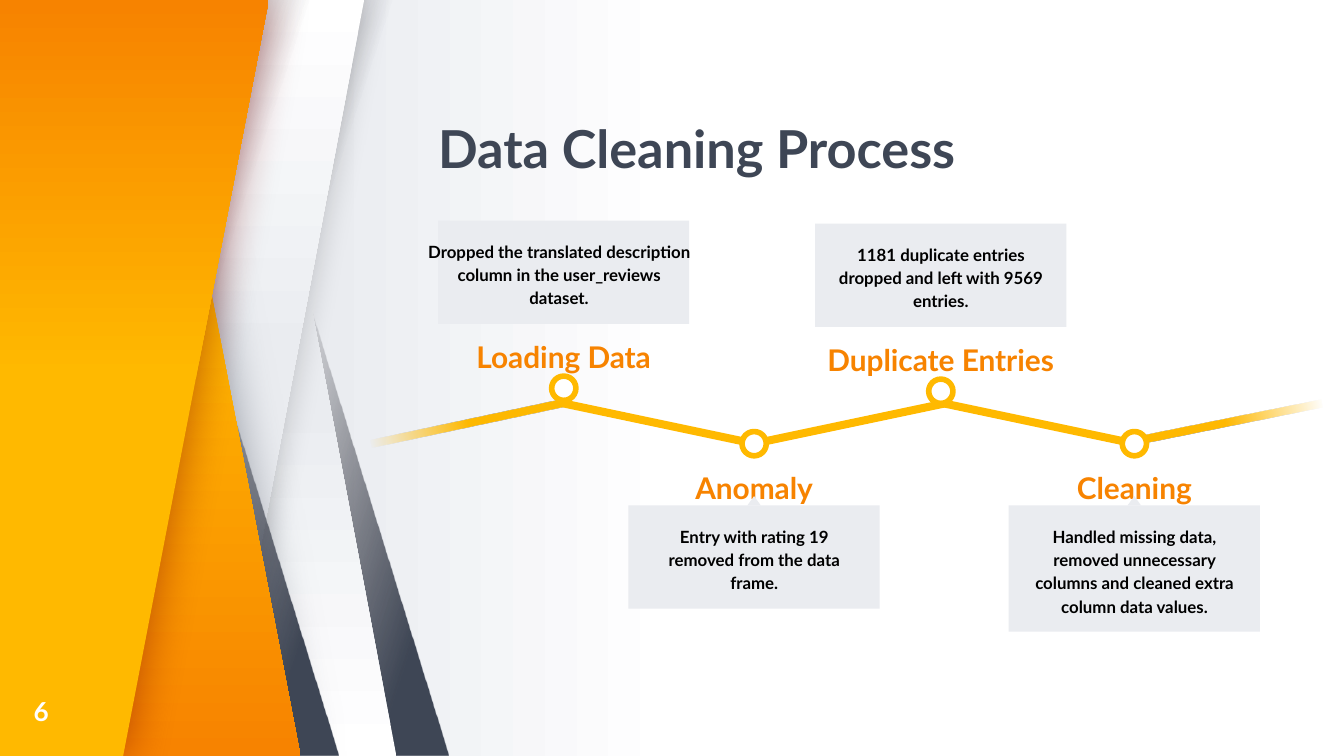
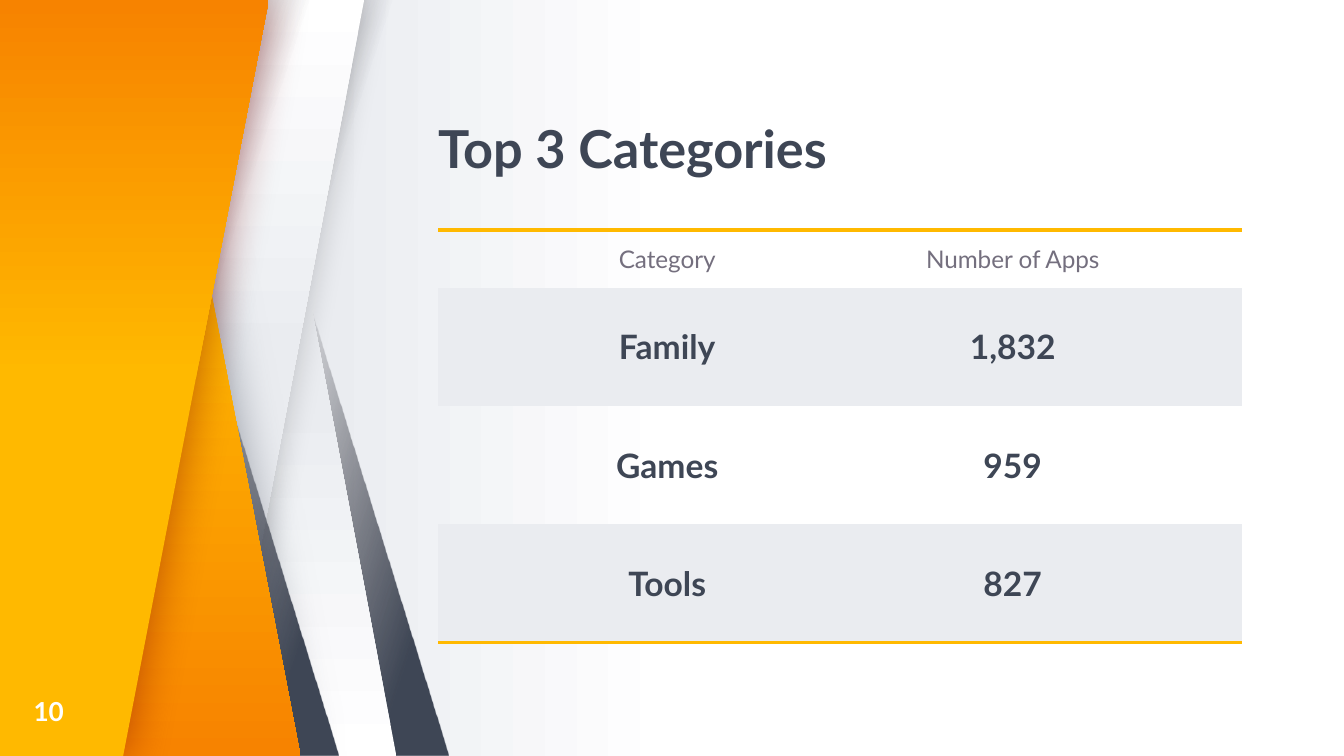
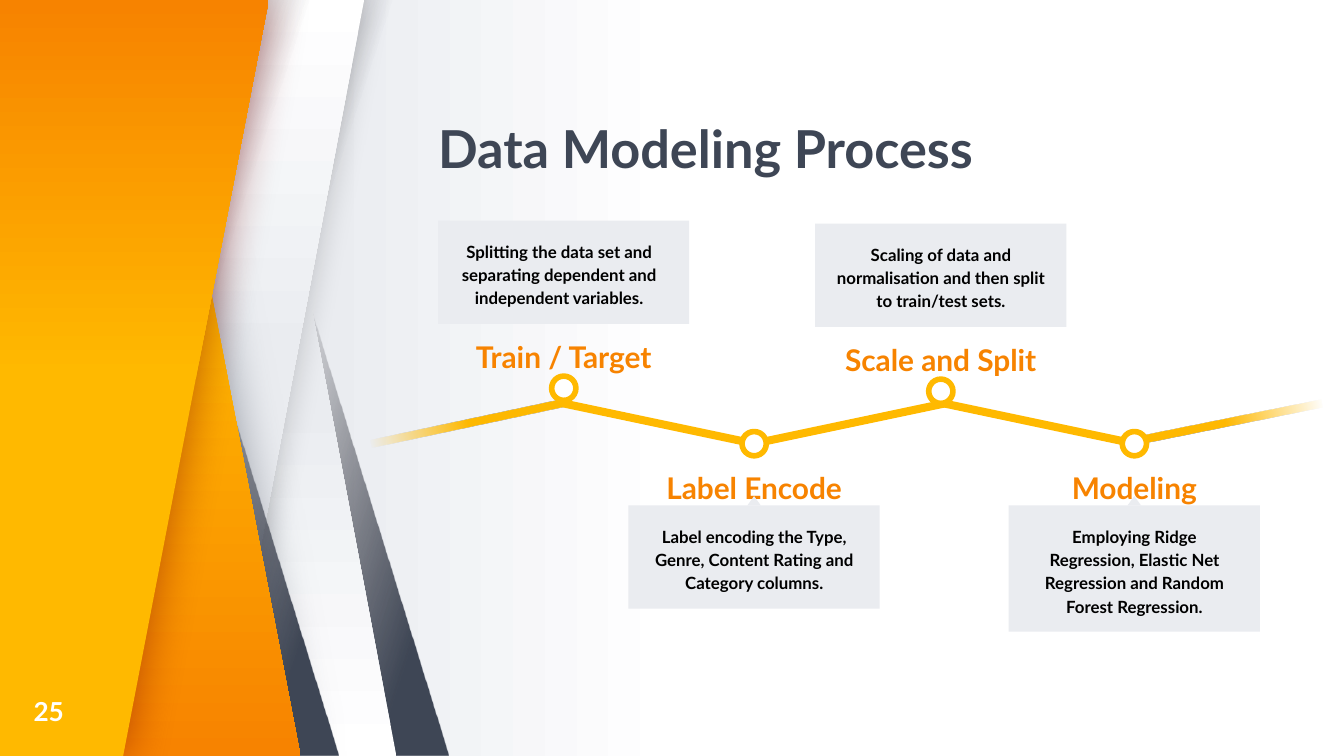
from dataclasses import dataclass

from lxml.etree import SubElement
from pptx import Presentation
from pptx.dml.color import RGBColor
from pptx.enum.shapes import MSO_SHAPE as Shape
from pptx.enum.text import MSO_ANCHOR as Anchor, MSO_AUTO_SIZE as AutoSize, PP_ALIGN as Align
from pptx.oxml.ns import qn
from pptx.util import Pt

FONT = "Lato"
SLATE, YELLOW, ORANGE, PALE = "3E4655", "FFB900", "F78300", "EAECF0"
WHITE, BLACK, GREY, INK, MAROON = "FFFFFF", "000000", "746F7E", "27252C", "7E0808"
WIDTH, HEIGHT = 720, 405
NO_TABLE_STYLE = "{2D5ABB26-0587-4C30-8999-92F81FD0307C}"

# Gradient stops: position in percent, colour, opacity in percent
DARK_FADE = [(0, SLATE, 100), (13, SLATE, 100), (55, INK, 0), (100, INK, 0)]
SILVER = [(0, WHITE, 100), (47, PALE, 100), (100, PALE, 100)]
LINE_FADE = [(0, YELLOW, 0), (50, YELLOW, 100), (100, YELLOW, 100)]
BACKGROUND = [(0, WHITE, 100), (50, WHITE, 100), (76, PALE, 100), (100, PALE, 100)]


def color(code):
    return RGBColor.from_string(code)


def add_color(parent, code, opacity=100):
    node = SubElement(parent, qn("a:srgbClr"), val=code)
    if opacity < 100:
        SubElement(node, qn("a:alpha"), val=str(opacity * 1000))


def set_gradient(fill, element, stops, angle):
    """Fill with the stops; the angle runs clockwise in degrees."""
    fill.gradient()
    gradient = next(element.iter(qn("a:gradFill")))
    stop_list = gradient.find(qn("a:gsLst"))
    for old in list(stop_list):
        stop_list.remove(old)
    for position, code, opacity in stops:
        stop = SubElement(stop_list, qn("a:gs"), pos=str(position * 1000))
        add_color(stop, code, opacity)
    gradient.find(qn("a:lin")).set("ang", str(angle * 60000))


def set_shadow(shape, code, opacity, blur):
    effects = shape.element.spPr.find(qn("a:effectLst"))
    shadow = SubElement(effects, qn("a:outerShdw"), blurRad=str(Pt(blur)), dist="0",
                        dir="0", algn="ctr", rotWithShape="0")
    add_color(shadow, code, opacity)


def set_border(cell, side):
    properties = cell._tc.get_or_add_tcPr()
    line = properties.makeelement(qn(f"a:{side}"), w=str(Pt(2.25)))
    add_color(SubElement(line, qn("a:solidFill")), YELLOW)
    properties.insert(0, line)


def style_paragraph(para, size, code, bold=True, align=Align.CENTER):
    para.alignment = align
    para.font.name, para.font.size, para.font.bold = FONT, Pt(size), bold
    para.font.color.rgb = color(code)


@dataclass
class Place:
    """Where one step of the zigzag stands."""
    center: float
    box_top: float
    box_height: float
    above: bool
    text_center: float
    text_width: float
    label_width: float


PLACES = [
    Place(302, 118.2, 55.4, True, 299.5, 155.5, 134.6),
    Place(404, 270.8, 55.4, False, 404, 128.2, 128.2),
    Place(504, 119.8, 55.4, True, 504, 128.2, 155.5),
    Place(607.7, 270.8, 67.7, False, 607.7, 128.2, 128.2),
]


class Slides:
    def __init__(self):
        self.deck = Presentation()
        self.deck.slide_width, self.deck.slide_height = Pt(WIDTH), Pt(HEIGHT)
        self.layout = self.deck.slide_layouts[5]
        self.page = None

    def start(self, title, number):
        self.page = self.deck.slides.add_slide(self.layout)
        if len(self.deck.slides) == 1:
            self.backdrop()
        box = self.page.shapes.title
        box.left, box.top, box.width, box.height = Pt(234.7), Pt(65.5), Pt(430.6), Pt(31)
        para = self.set_text(box, title, 28, SLATE, inset=0, anchor=Anchor.BOTTOM,
                             align=Align.LEFT)
        para.line_spacing = 0.9
        self.text(18, 371.5, 28.8, 19.4, str(number), 14, WHITE, inset=0,
                  anchor=Anchor.MIDDLE, align=Align.LEFT)

    def backdrop(self):
        """Draw the folded ribbons and move them to the shared layout."""
        background = self.layout.background.fill
        set_gradient(background, self.layout.element, BACKGROUND, 180)
        ribbons = [
            self.ribbon(74.9, 0.753, DARK_FADE, 342, flip=True),
            self.ribbon(46.8, 0.463, SILVER, 270, flip=True),
            self.ribbon(46.8, 0.753, DARK_FADE, 18),
            self.ribbon(29.5, 0.463, SILVER, 90),
            self.ribbon(15.8, 0.753, DARK_FADE, 342, flip=True),
            self.panel(82.8, 160.6, 37, 90, SLATE),
            self.ribbon(2.2, 0.753, DARK_FADE, 18),
            self.panel(144, 66.2, 50, 270, MAROON),
        ]
        set_shadow(ribbons[3], BLACK, 20, 16.9)
        for shape_id, ribbon in enumerate(ribbons, start=20):
            ribbon.element.nvSpPr.cNvPr.set("id", str(shape_id))
            self.layout.shapes.element.append(ribbon.element)

    def ribbon(self, left, slant, stops, angle, flip=False):
        shape = self.shape(Shape.PARALLELOGRAM, left, 0, 165.6, HEIGHT, (stops, angle), slant)
        if flip:
            shape.element.spPr.find(qn("a:xfrm")).set("flipH", "1")
        return shape

    def panel(self, top_right, bottom_right, middle, angle, shadow):
        """Draw an orange panel from the left edge to a slanted right edge."""
        builder = self.page.shapes.build_freeform(0, 0, scale=Pt(1))
        builder.add_line_segments([(0, HEIGHT), (bottom_right, HEIGHT), (top_right, 0)])
        shape = builder.convert_to_shape()
        stops = [(0, YELLOW, 100), (middle, YELLOW, 100), (100, ORANGE, 100)]
        self.paint(shape, (stops, angle))
        set_shadow(shape, shadow, 50, 24.8)
        return shape

    def paint(self, shape, fill):
        """Fill with a colour, or with a pair of gradient stops and angle."""
        shape.shadow.inherit = False
        shape.line.fill.background()
        if isinstance(fill, str):
            shape.fill.solid()
            shape.fill.fore_color.rgb = color(fill)
        else:
            set_gradient(shape.fill, shape.element.spPr, *fill)

    def shape(self, kind, left, top, width, height, fill, adjustment=None):
        shape = self.page.shapes.add_shape(kind, Pt(left), Pt(top), Pt(width), Pt(height))
        if adjustment is not None:
            shape.adjustments[0] = adjustment
        self.paint(shape, fill)
        return shape

    def set_text(self, box, text, size, code, inset=7.2, anchor=Anchor.TOP,
                 align=Align.CENTER):
        frame = box.text_frame
        frame.word_wrap, frame.auto_size = True, AutoSize.NONE
        frame.vertical_anchor = anchor
        frame.margin_left = frame.margin_right = Pt(inset)
        frame.margin_top = frame.margin_bottom = Pt(inset)
        frame.text = text
        para = frame.paragraphs[0]
        style_paragraph(para, size, code, align=align)
        return para

    def text(self, left, top, width, height, text, size, code, **options):
        box = self.page.shapes.add_textbox(Pt(left), Pt(top), Pt(width), Pt(height))
        return self.set_text(box, text, size, code, **options)

    def centered_text(self, center, top, width, height, text, size, code):
        para = self.text(center - width / 2, top, width, height, text, size, code)
        para.line_spacing, para.space_after = 1.15, Pt(16)

    def zigzag(self):
        fade = (LINE_FADE, 0)
        links = [(198, 348.1, fade), (298.8, 11.9, YELLOW), (402.5, 348.1, YELLOW),
                 (502.6, 11.9, YELLOW), (602.6, 168.9, fade)]
        for left, rotation, fill in links:
            rounding = 0.5 if fill == YELLOW else 0
            link = self.shape(Shape.ROUNDED_RECTANGLE, left, 224.6, 106.6, 4.3, fill, rounding)
            link.rotation = rotation

    def step(self, place, label, detail):
        center, top, height = place.center, place.box_top, place.box_height
        label_top = top + (53.2 if place.above else -29.5)
        dot_top = top + (83.3 if place.above else -39.6)
        text_height = height if place.above else height - 5
        self.shape(Shape.RECTANGLE, center - 67.3, top, 134.6, height, PALE)
        self.centered_text(place.text_center, top + 2.5, place.text_width, text_height,
                           detail, 9, BLACK)
        self.centered_text(center, label_top, place.label_width, 21.6, label, 16, ORANGE)
        dot = self.shape(Shape.OVAL, center - 6.5, dot_top, 13, 13, WHITE)
        dot.line.color.rgb, dot.line.width = color(YELLOW), Pt(3)
        if not place.above:
            self.shape(Shape.ISOSCELES_TRIANGLE, center - 3.6, top - 5, 7.2, 5, PALE)

    def process(self, title, number, steps):
        self.start(title, number)
        self.zigzag()
        for place, (label, detail) in zip(PLACES, steps):
            self.step(place, label, detail)

    def table(self, rows):
        """Draw a striped table with an empty column at either side."""
        widths, heights = [30.2, 185.1, 185.1, 30.2], [31, 63.4, 63.4, 63.4]
        frame = self.page.shapes.add_table(len(rows), len(widths), Pt(234.7), Pt(123.1),
                                           Pt(sum(widths)), Pt(sum(heights)))
        table = frame.table
        table.first_row = table.horz_banding = False
        next(frame.element.iter(qn("a:tableStyleId"))).text = NO_TABLE_STYLE
        for column, width in zip(table.columns, widths):
            column.width = Pt(width)
        for index, (row, height, values) in enumerate(zip(table.rows, heights, rows)):
            row.height = Pt(height)
            for cell, value in zip(row.cells, ["", *values, ""]):
                cell.text = value
                cell.vertical_anchor = Anchor.MIDDLE
                cell.margin_top = cell.margin_bottom = Pt(2)
                size, code = (18, SLATE) if index else (13, GREY)
                style_paragraph(cell.text_frame.paragraphs[0], size, code, bold=index > 0)
                if index % 2:
                    cell.fill.solid()
                    cell.fill.fore_color.rgb = color(PALE)
                else:
                    cell.fill.background()
                if index == 0:
                    set_border(cell, "lnT")
                elif index == len(rows) - 1:
                    set_border(cell, "lnB")


def main():
    slides = Slides()
    slides.process("Data Cleaning Process", 6, [
        ("Loading Data", "Dropped the translated description column in the user_reviews dataset."),
        ("Anomaly", "Entry with rating 19 removed from the data frame."),
        ("Duplicate Entries", "1181 duplicate entries dropped and left with 9569 entries."),
        ("Cleaning", "Handled missing data, removed unnecessary columns and cleaned extra "
                     "column data values."),
    ])
    slides.start("Top 3 Categories", 10)
    slides.table([("Category", "Number of Apps"), ("Family", "1,832"), ("Games", "959"),
                  ("Tools", "827")])
    slides.process("Data Modeling Process", 25, [
        ("Train / Target", "Splitting the data set and separating dependent and independent "
                           "variables."),
        ("Label Encode", "Label encoding the Type, Genre, Content Rating and Category columns."),
        ("Scale and Split", "Scaling of data and normalisation and then split to train/test sets."),
        ("Modeling", "Employing Ridge Regression, Elastic Net Regression and Random Forest "
                     "Regression."),
    ])
    slides.deck.save("out.pptx")


if __name__ == "__main__":
    main()
